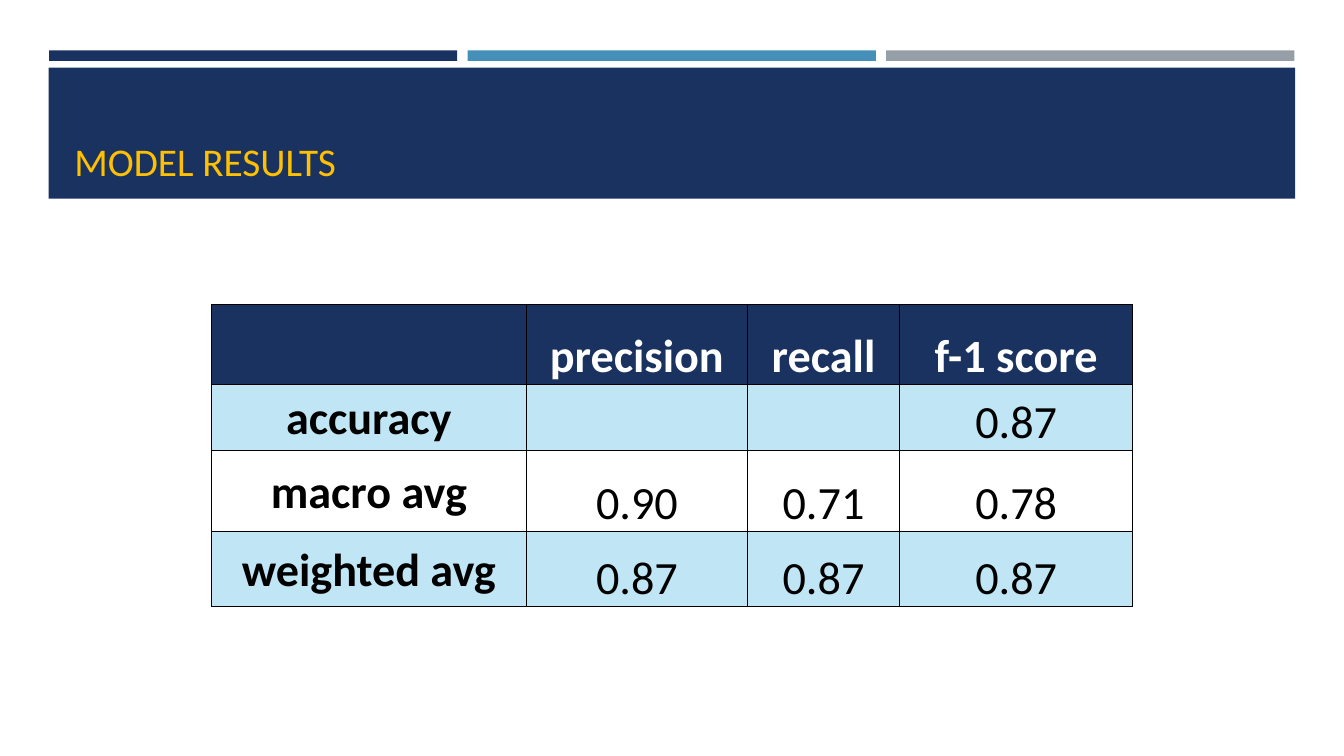
from dataclasses import dataclass

from lxml.etree import SubElement
from pptx import Presentation
from pptx.dml.color import RGBColor
from pptx.enum.shapes import MSO_SHAPE
from pptx.enum.text import MSO_ANCHOR, PP_ALIGN
from pptx.oxml.ns import qn
from pptx.util import Pt


@dataclass(frozen=True)
class Theme:
    font: str = "Calibri"
    navy: str = "1A3260"
    blue: str = "4590B8"
    grey: str = "969FA7"
    gold: str = "FFC000"
    pale: str = "C0E6F5"
    white: str = "FFFFFF"
    black: str = "000000"
    title_size: float = 28
    table_size: float = 33
    border: float = 0.5


class Deck:
    def __init__(self, theme):
        self.theme = theme
        self.prs = Presentation()
        self.prs.slide_width, self.prs.slide_height = Pt(960), Pt(540)
        self.s = self.prs.slides.add_slide(self.prs.slide_layouts[5])

    def add_text(self, tf, text, size, color, align, bold=False):
        p = tf.paragraphs[0]
        p.alignment = align
        r = p.add_run()
        r.text = text
        for name, value in dict(name=self.theme.font, size=Pt(size), bold=bold).items():
            setattr(r.font, name, value)
        r.font.color.rgb = RGBColor.from_string(color)

    def bar(self, x, y, w, h, color):
        sp = self.s.shapes.add_shape(MSO_SHAPE.RECTANGLE, Pt(x), Pt(y), Pt(w), Pt(h))
        sp.shadow.inherit = False
        sp.fill.solid()
        sp.fill.fore_color.rgb = RGBColor.from_string(color)
        sp.line.fill.background()

    def title(self, text, x, y, w, h):
        sp = self.s.shapes.title
        for name, value in dict(left=x, top=y, width=w, height=h).items():
            setattr(sp, name, Pt(value))
        sp.text_frame.vertical_anchor = MSO_ANCHOR.BOTTOM
        self.add_text(sp.text_frame, text, self.theme.title_size, self.theme.gold,
                      PP_ALIGN.LEFT)
        # Bring the title in front of its band
        sp.element.getparent().append(sp.element)

    def borders(self, cell):
        tcPr = cell._tc.get_or_add_tcPr()
        for i, side in enumerate(("lnL", "lnR", "lnT", "lnB")):
            ln = tcPr.makeelement(qn(f"a:{side}"), {"w": str(Pt(self.theme.border))})
            fill = SubElement(ln, qn("a:solidFill"))
            SubElement(fill, qn("a:srgbClr"), val=self.theme.black)
            tcPr.insert(i, ln)

    def cell(self, cell, text, fill, color, bold, anchor):
        margins = dict(margin_left=2, margin_right=2, margin_top=2, margin_bottom=0)
        for name, value in margins.items():
            setattr(cell, name, Pt(value))
        cell.vertical_anchor = anchor
        if fill:
            cell.fill.solid()
            cell.fill.fore_color.rgb = RGBColor.from_string(fill)
        else:
            cell.fill.background()
        self.borders(cell)
        if text:
            self.add_text(cell.text_frame, text, self.theme.table_size, color,
                          PP_ALIGN.CENTER, bold)

    def table(self, x, y, widths, heights, rows):
        t = self.theme
        frame = self.s.shapes.add_table(len(rows), len(widths), Pt(x), Pt(y),
                                        Pt(sum(widths)), Pt(sum(heights)))
        tbl = frame.table
        tbl.horz_banding = False
        for column, width in zip(tbl.columns, widths):
            column.width = Pt(width)
        for row, height in zip(tbl.rows, heights):
            row.height = Pt(height)
        for i, values in enumerate(rows):
            header = i == 0
            fill = t.navy if header else t.pale if i % 2 else None
            for j, text in enumerate(values):
                label = j == 0 and not header
                self.cell(tbl.cell(i, j), text, fill, t.white if header else t.black,
                          header or label, MSO_ANCHOR.MIDDLE if label else MSO_ANCHOR.BOTTOM)


def main():
    theme = Theme()
    deck = Deck(theme)

    # Three accent bars above the title band
    for i, color in enumerate((theme.navy, theme.blue, theme.grey)):
        deck.bar(35 + 299 * i, 36, 291.6, 7.5, color)

    # Title band
    deck.bar(34.7, 48.3, 890.5, 93.6, theme.navy)
    deck.title("MODEL RESULTS", 46, 55.5, 868, 80)

    # Scores
    deck.table(151, 217.3, (225, 158, 108.6, 166.6), (57.3, 47.2, 57.8, 53.7), (
        ("", "precision", "recall", "f-1 score"),
        ("accuracy", "", "", "0.87"),
        ("macro avg", "0.90", "0.71", "0.78"),
        ("weighted avg", "0.87", "0.87", "0.87"),
    ))
    deck.prs.save("out.pptx")


if __name__ == "__main__":
    main()
